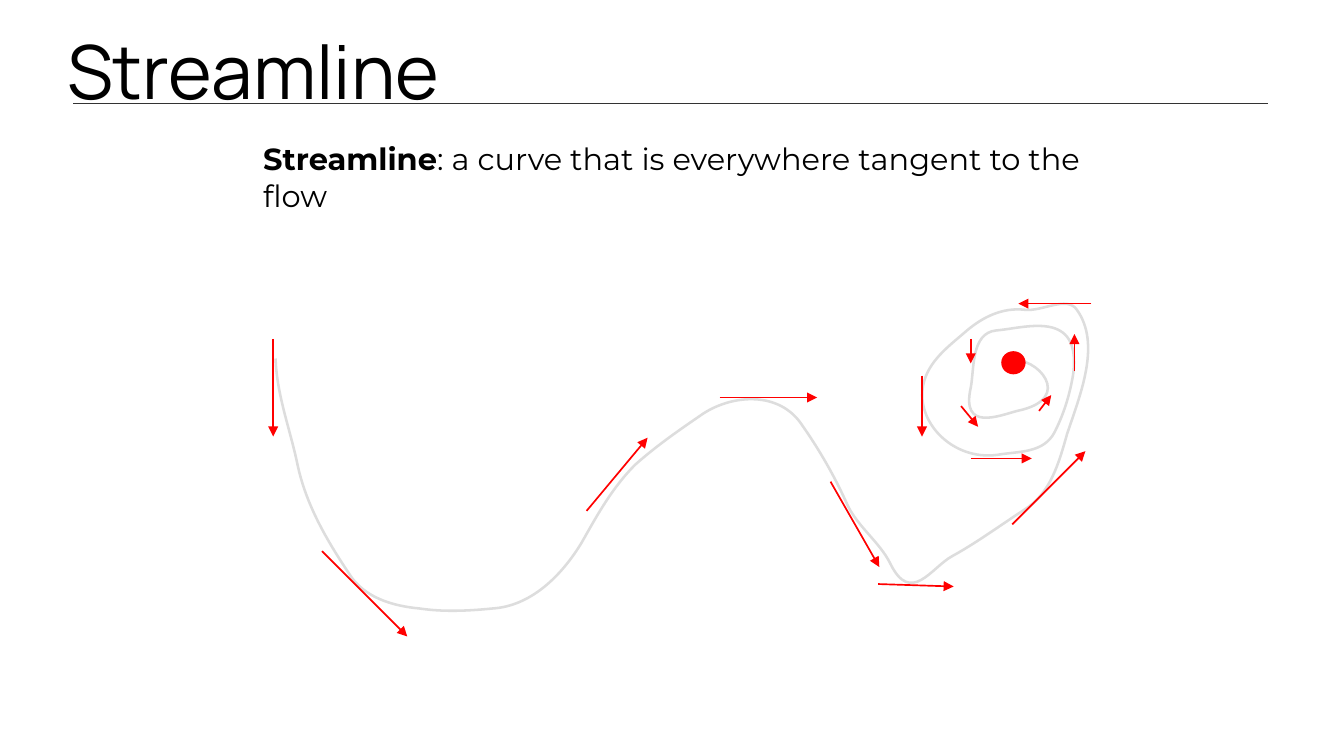
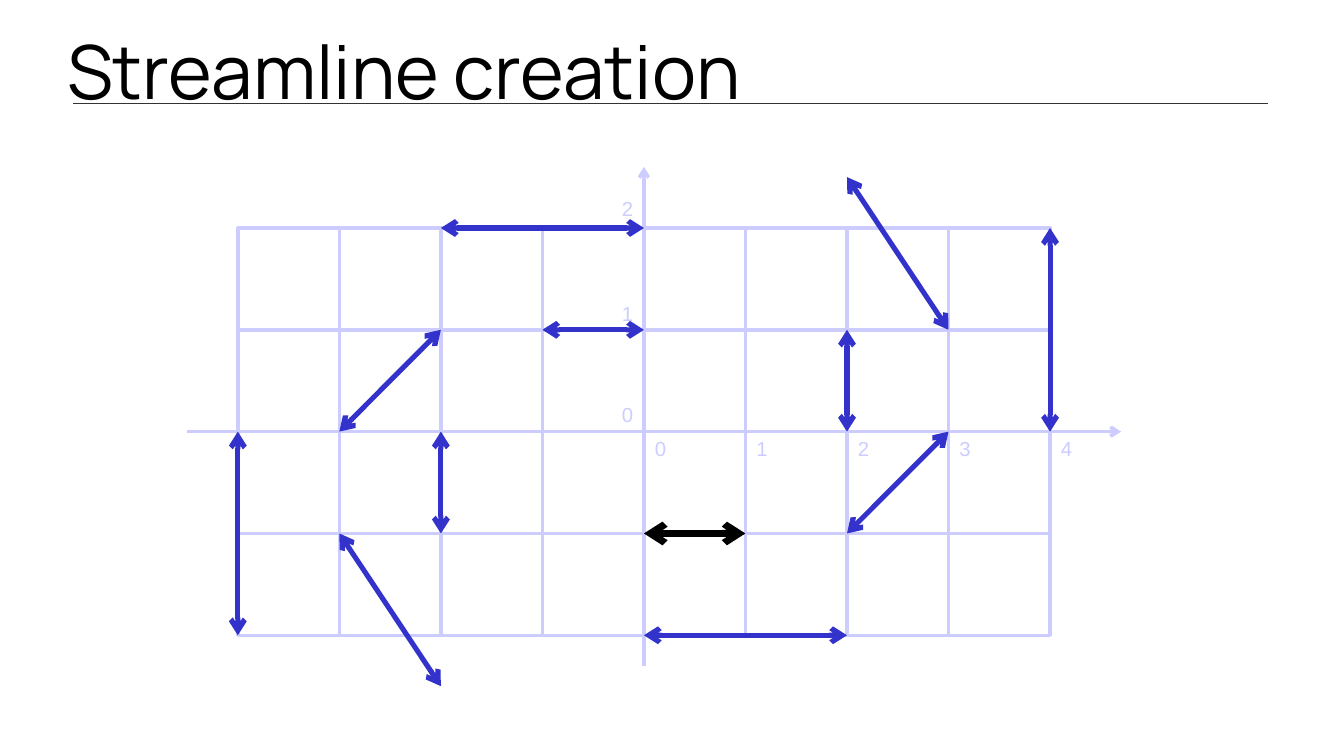
from itertools import product

from lxml import etree
from pptx import Presentation
from pptx.dml.color import RGBColor
from pptx.enum.shapes import MSO_CONNECTOR, MSO_SHAPE
from pptx.enum.text import MSO_ANCHOR, MSO_AUTO_SIZE, PP_ALIGN
from pptx.oxml.ns import qn
from pptx.util import Inches, Pt

STRAIGHT = MSO_CONNECTOR.STRAIGHT
OVAL = MSO_SHAPE.OVAL
MIDDLE, NO_FIT = MSO_ANCHOR.MIDDLE, MSO_AUTO_SIZE.NONE
LEFT, CENTER = PP_ALIGN.LEFT, PP_ALIGN.CENTER

BLACK, RULE, RED = "000000", "333333", "FF0000"
CURVE, GRID, VECTOR = "DDDDDD", "CCCCFF", "3333CC"
TITLE_FONT, BODY_FONT, LABEL_FONT = "Manrope", "Montserrat", "Arial"

TITLE_BOX = (0.55, 0.16, 9.92, 0.83)
TITLE_ONLY = 5

STREAM_START = (0.26, 0.94)
STREAM_BEZIERS = [
    (0.27, 1.24, 0.38, 1.52, 0.44, 1.81),
    (0.51, 2.14, 0.68, 2.43, 0.86, 2.7),
    (0.98, 2.9, 1.22, 2.97, 1.44, 2.99),
    (1.64, 3.02, 1.84, 3.01, 2.04, 2.99),
    (2.35, 2.97, 2.6, 2.73, 2.77, 2.45),
    (2.9, 2.22, 3.02, 2, 3.21, 1.81),
    (3.39, 1.65, 3.58, 1.52, 3.77, 1.39),
    (4.02, 1.23, 4.4, 1.21, 4.58, 1.49),
    (4.72, 1.69, 4.84, 1.9, 4.94, 2.12),
    (5.02, 2.31, 5.21, 2.44, 5.3, 2.62),
    (5.47, 2.97, 5.64, 2.65, 5.81, 2.56),
    (6.01, 2.45, 6.2, 2.31, 6.4, 2.18),
    (6.61, 2.05, 6.68, 1.81, 6.75, 1.56),
    (6.86, 1.23, 7.03, 0.82, 6.83, 0.54),
    (6.75, 0.42, 6.54, 0.56, 6.4, 0.54),
    (6.22, 0.52, 6.06, 0.6, 5.93, 0.71),
    (5.78, 0.84, 5.61, 0.96, 5.57, 1.16),
    (5.51, 1.47, 5.82, 1.78, 6.18, 1.73),
    (6.35, 1.7, 6.56, 1.72, 6.65, 1.54),
    (6.72, 1.4, 6.77, 1.25, 6.8, 1.07),
    (6.87, 0.53, 6.41, 0.69, 6.17, 0.71),
    (5.96, 0.73, 5.99, 1.03, 5.96, 1.18),
    (5.88, 1.54, 6.19, 1.41, 6.34, 1.37),
    (6.83, 1.27, 6.49, 0.91, 6.29, 0.96),
]
TANGENTS = [
    (0.64, 2.52, 1.34, 3.22),
    (2.81, 2.19, 3.31, 1.59),
    (3.9, 1.26, 4.7, 1.26),
    (4.81, 1.95, 5.21, 2.65),
    (5.2, 2.79, 5.82, 2.81),
    (6.3, 2.3, 6.9, 1.7),
    (6.95, 0.49, 6.35, 0.49),
    (5.56, 1.08, 5.56, 1.58),
    (5.96, 1.76, 6.46, 1.76),
    (6.81, 1.04, 6.81, 0.74),
    (5.96, 0.78, 5.96, 0.98),
    (5.88, 1.33, 6.02, 1.5),
    (6.52, 1.37, 6.62, 1.24),
    (0.24, 0.78, 0.24, 1.58),
]
GRID_VECTORS = [
    (2, 0, 2, 1),
    (4, 0, 4, 2),
    (-4, 0, -4, -2),
    (-2, 0, -2, -1),
    (0, 1, -1, 1),
    (0, 2, -2, 2),
    (0, -2, 2, -2),
    (2, -1, 3, 0),
    (-2, 1, -3, 0),
    (3, 1, 2, 2.5),
    (-3, -1, -2, -2.5),
]
VERTICAL_LABEL_RISES = (0.29, 1.12, 1.98)


def rgb(color):
    """Turn a hex string into a colour."""
    return RGBColor.from_string(color)


def set_line(shape, color, width):
    """Give a shape or connector a solid line."""
    shape.line.color.rgb = rgb(color)
    shape.line.width = Pt(width)


def set_font(paragraph, face, size, color):
    """Set the font of a whole paragraph."""
    paragraph.font.name = face
    paragraph.font.size = Pt(size)
    paragraph.font.color.rgb = rgb(color)


def add_line(slide, start, end, color, width, head=None, tail=None):
    """Draw a straight line with optional arrowheads."""
    line = slide.shapes.add_connector(STRAIGHT, *map(Inches, (*start, *end)))
    set_line(line, color, width)
    properties = line.element.spPr
    outline = properties.find(qn("a:ln"))
    for tag, style in (("a:headEnd", head), ("a:tailEnd", tail)):
        if style:
            etree.SubElement(outline, qn(tag)).set("type", style)
    etree.SubElement(properties, qn("a:effectLst"))
    return line


def add_outline(slide, points, close):
    """Draw an unfilled outline through points given in inches."""
    start, *others = [tuple(map(Inches, point)) for point in points]
    builder = slide.shapes.build_freeform(*start)
    builder.add_line_segments(others, close=close)
    outline = builder.convert_to_shape()
    outline.shadow.inherit = False
    outline.fill.background()
    return outline


def add_box(slide, left, top, width, height):
    """Draw a closed rectangular outline."""
    right, bottom = left + width, top + height
    corners = [(left, top), (right, top), (right, bottom), (left, bottom)]
    return add_outline(slide, corners, close=True)


def bend_segments(outline, controls):
    """Turn each straight segment into a cubic curve with two controls."""
    segments = list(outline.element.iter(qn("a:lnTo")))
    for segment, pair in zip(segments, controls):
        segment.tag = qn("a:cubicBezTo")
        for index, (x, y) in enumerate(pair):
            point = etree.Element(qn("a:pt"))
            point.set("x", str(Inches(x) - outline.left))
            point.set("y", str(Inches(y) - outline.top))
            segment.insert(index, point)


def add_titled_slide(prs, heading):
    """Add a slide with the shared title style."""
    slide = prs.slides.add_slide(prs.slide_layouts[TITLE_ONLY])
    title = slide.shapes.title
    title.left, title.top, title.width, title.height = map(Inches, TITLE_BOX)
    frame = title.text_frame
    frame.text = heading
    frame.auto_size = NO_FIT
    frame.vertical_anchor = MIDDLE
    frame.margin_left = frame.margin_right = 0
    frame.margin_top = frame.margin_bottom = 0
    frame.paragraphs[0].alignment = LEFT
    set_font(frame.paragraphs[0], TITLE_FONT, 44, BLACK)
    return slide


def move_rule_to_layout(slide):
    """Put the rule under the title on the layout the slides share."""
    rule = add_line(slide, (0.6, 0.85), (10.4, 0.85), RULE, 1)
    slide.slide_layout.shapes.element.append(rule.element)


def add_definition(slide, box, term, meaning):
    """Write a bold term followed by its meaning."""
    frame = slide.shapes.add_textbox(*map(Inches, box)).text_frame
    frame.word_wrap = True
    paragraph = frame.paragraphs[0]
    set_font(paragraph, BODY_FONT, 18, BLACK)
    term_run = paragraph.add_run()
    term_run.text = term
    term_run.font.bold = True
    paragraph.add_run().text = meaning


def add_stream(slide, left, top):
    """Draw the streamline, its tangent arrows and its end point."""
    def place(x, y):
        return left + x, top + y

    anchors = [STREAM_START] + [bezier[4:] for bezier in STREAM_BEZIERS]
    stream = add_outline(slide, [place(*anchor) for anchor in anchors], close=False)
    set_line(stream, CURVE, 1.5)
    bend_segments(stream, [(place(x1, y1), place(x2, y2))
                           for x1, y1, x2, y2, *_ in STREAM_BEZIERS])

    for x1, y1, x2, y2 in TANGENTS:
        add_line(slide, place(x1, y1), place(x2, y2), RED, 1, tail="triangle")

    end_point = slide.shapes.add_shape(
        OVAL, *map(Inches, (*place(6.21, 0.88), 0.2, 0.19)))
    end_point.shadow.inherit = False
    end_point.fill.solid()
    end_point.fill.fore_color.rgb = rgb(RED)
    end_point.line.fill.background()


def add_axis_label(slide, left, top, number):
    """Write one number beside an axis."""
    label = add_box(slide, left, top, 0.29, 0.3)
    label.line.fill.background()
    frame = label.text_frame
    frame.word_wrap = False
    frame.vertical_anchor = MIDDLE
    frame.text = str(number)
    frame.paragraphs[0].alignment = CENTER
    set_font(frame.paragraphs[0], LABEL_FONT, 12, GRID)


def add_vector_grid(slide, left, top, width, height, columns=8, rows=4):
    """Draw the grid, its axes and labels, and the vectors on it."""
    cell_width, cell_height = width / columns, height / rows
    center_x, center_y = left + width / 2, top + height / 2

    def place(x, y):
        return center_x + x * cell_width, center_y - y * cell_height

    for row, column in product(range(rows), range(columns)):
        square = add_box(slide, left + column * cell_width,
                         top + row * cell_height, cell_width, cell_height)
        set_line(square, GRID, 2)

    for start, end in (((-4.5, 0), (4.7, 0)), ((0, -2.3), (0, 2.6))):
        add_line(slide, place(*start), place(*end), GRID, 2, tail="arrow")

    for number in range(columns // 2 + 1):
        add_axis_label(slide, place(number, 0)[0] - 0.01, center_y - 0.01, number)
    for number, rise in enumerate(VERTICAL_LABEL_RISES):
        add_axis_label(slide, center_x - 0.28, center_y - rise, number)

    styled_vectors = [(vector, VECTOR, 3) for vector in GRID_VECTORS]
    styled_vectors.append(((0, -1, 1, -1), BLACK, 4))
    for (x1, y1, x2, y2), color, weight in styled_vectors:
        add_line(slide, place(x1, y1), place(x2, y2), color, weight,
                 head="arrow", tail="arrow")


def main():
    """Build both slides and save them."""
    prs = Presentation()
    prs.slide_width, prs.slide_height = Inches(11.02), Inches(6.2)

    streamline = add_titled_slide(prs, "Streamline")
    move_rule_to_layout(streamline)
    add_definition(streamline, (2.06, 1.1, 7.24, 0.71), "Streamline",
                   ": a curve that is everywhere tangent to the flow")
    add_stream(streamline, 2, 2)

    creation = add_titled_slide(prs, "Streamline creation")
    add_vector_grid(creation, 1.95, 1.87, 6.66, 3.34)

    prs.save("out.pptx")


if __name__ == "__main__":
    main()
